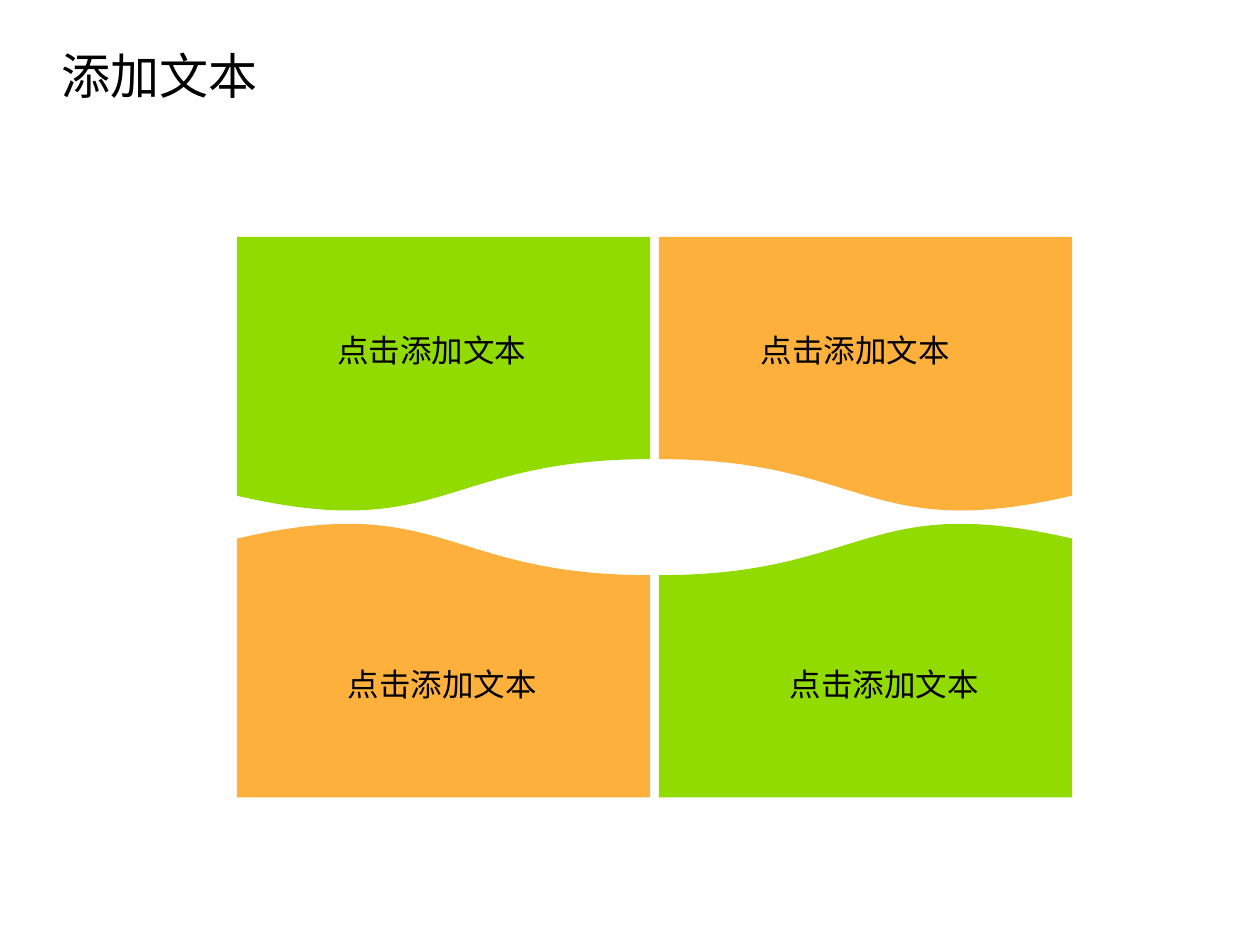
import lxml.etree
import pptx
import pptx.dml.color
import pptx.enum.shapes
import pptx.enum.text
import pptx.oxml.ns
import pptx.util

Inches = pptx.util.Inches
FONT = "Noto Sans CJK SC"
COLORS = {"green": "91DB01", "orange": "FEB03C", "text": "000000"}

# Two by two grid of mirrored panels
COLUMNS = (1.88, 5.23)
ROWS = (1.88, 4.13)
PANEL_SIZE = (3.28, 2.2)

LABEL_SIZE = (1.72, 0.4)
LABEL_LEFTS = ((2.58, 5.94), (2.66, 6.17))
LABEL_TOPS = (2.58, 5.23)


def color(name):
    return pptx.dml.color.RGBColor.from_string(COLORS[name])


def set_text(box, text, size):
    """Write one unwrapped, left-aligned line in the slide font."""
    frame = box.text_frame
    frame.text = text
    frame.word_wrap = False
    frame.auto_size = pptx.enum.text.MSO_AUTO_SIZE.SHAPE_TO_FIT_TEXT
    frame.vertical_anchor = pptx.enum.text.MSO_ANCHOR.TOP
    paragraph = frame.paragraphs[0]
    paragraph.alignment = pptx.enum.text.PP_ALIGN.LEFT
    font = paragraph.runs[0].font
    font.size = pptx.util.Pt(size)
    font.name = FONT
    font.color.rgb = color("text")
    # East Asian characters take their own typeface element
    east_asian = lxml.etree.SubElement(font._element, pptx.oxml.ns.qn("a:ea"))
    east_asian.set("typeface", FONT)


def add_title(slide, text):
    title = slide.shapes.title
    title.left, title.top = Inches(0.39), Inches(0.31)
    title.width, title.height = Inches(1.77), Inches(0.57)
    set_text(title, text, 28)


def add_panel(slide, row, column):
    """Add a wavy panel whose curve faces the middle of the grid."""
    panel = slide.shapes.add_shape(
        pptx.enum.shapes.MSO_SHAPE.FLOWCHART_DOCUMENT,
        *map(Inches, (COLUMNS[column], ROWS[row], *PANEL_SIZE)))
    panel.shadow.inherit = False
    panel.fill.solid()
    panel.fill.fore_color.rgb = color("green" if row == column else "orange")
    panel.line.fill.background()
    transform = panel._element.spPr.get_or_add_xfrm()
    if column:
        transform.set("flipH", "1")
    if row:
        transform.set("flipV", "1")


def add_label(slide, row, column, text):
    label = slide.shapes.add_textbox(
        *map(Inches, (LABEL_LEFTS[row][column], LABEL_TOPS[row], *LABEL_SIZE)))
    set_text(label, text, 18)


def main():
    presentation = pptx.Presentation()
    presentation.slide_width = Inches(10)
    presentation.slide_height = Inches(7.5)
    slide = presentation.slides.add_slide(presentation.slide_layouts[5])

    add_title(slide, "添加文本")

    # Panels with their labels
    for row in range(2):
        for column in range(2):
            add_panel(slide, row, column)
            add_label(slide, row, column, "点击添加文本")

    presentation.save("out.pptx")


if __name__ == "__main__":
    main()
